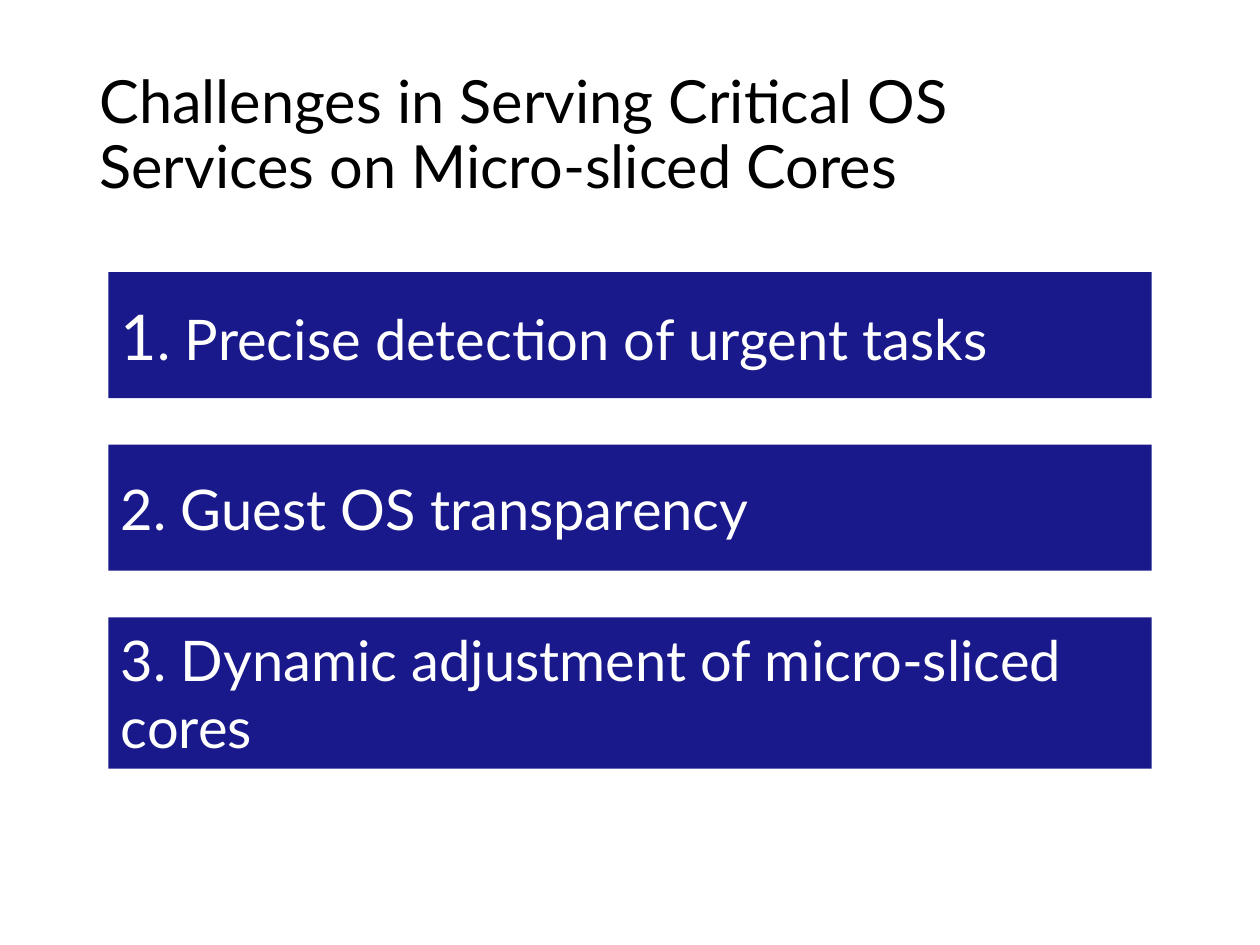
import pptx
import pptx.dml.color
import pptx.enum.shapes
import pptx.enum.text
import pptx.oxml.ns
import pptx.util
from lxml import etree

Inches = pptx.util.Inches
FONT = "Lato"
NAVY, WHITE, BLACK = "000080", "FFFFFF", "000000"
ANCHOR_MIDDLE = pptx.enum.text.MSO_ANCHOR.MIDDLE
ALIGN_LEFT = pptx.enum.text.PP_ALIGN.LEFT

CHALLENGES = [
    "Precise detection of urgent tasks",
    "Guest OS transparency",
    "Dynamic adjustment of micro-sliced cores",
]
BAR_HEIGHTS = [1, 1, 1.2]


def rgb(hex_colour):
    return pptx.dml.color.RGBColor.from_string(hex_colour)


def format_run(run, size, colour):
    run.font.name = FONT
    run.font.size = pptx.util.Pt(size)
    run.font.color.rgb = rgb(colour)


def set_opacity(shape, percent):
    colour = shape.fill._xPr.find(".//" + pptx.oxml.ns.qn("a:srgbClr"))
    alpha = etree.SubElement(colour, pptx.oxml.ns.qn("a:alpha"))
    alpha.set("val", str(percent * 1000))


def add_title(slide, left, top, width, height):
    title = slide.shapes.add_textbox(
        Inches(left), Inches(top), Inches(width), Inches(height))
    frame = title.text_frame
    frame.word_wrap = True
    frame.vertical_anchor = ANCHOR_MIDDLE
    heading = frame.paragraphs[0]
    heading.text = "Challenges in Serving Critical OS Services on Micro-sliced Cores"
    heading.line_spacing = 0.9
    format_run(heading.runs[0], 34, BLACK)


def add_challenge(slide, left, top, width, height, number, challenge, number_size):
    bar = slide.shapes.add_shape(
        pptx.enum.shapes.MSO_SHAPE.RECTANGLE,
        Inches(left), Inches(top), Inches(width), Inches(height))
    bar.shadow.inherit = False
    bar.fill.solid()
    bar.fill.fore_color.rgb = rgb(NAVY)
    set_opacity(bar, 90)
    bar.line.fill.background()

    frame = bar.text_frame
    frame.word_wrap = True
    frame.vertical_anchor = ANCHOR_MIDDLE
    line = frame.paragraphs[0]
    line.alignment = ALIGN_LEFT
    for text, size in ((str(number), number_size), (f". {challenge}", 32)):
        run = line.add_run()
        run.text = text
        format_run(run, size, WHITE)


def add_challenges(slide, left, top, width, gap):
    for number, (challenge, height) in enumerate(zip(CHALLENGES, BAR_HEIGHTS), 1):
        number_size = 36 if number == 1 else 32
        add_challenge(slide, left, top, width, height, number, challenge, number_size)
        top += height + gap


def main():
    deck = pptx.Presentation()
    deck.slide_width, deck.slide_height = Inches(10), Inches(7.5)
    slide = deck.slides.add_slide(deck.slide_layouts[6])
    slide.background.fill.solid()
    slide.background.fill.fore_color.rgb = rgb(WHITE)
    add_title(slide, 0.69, 0.36, 8.62, 1.45)
    add_challenges(slide, 0.86, 2.16, 8.28, gap=0.37)
    deck.save("out.pptx")


if __name__ == "__main__":
    main()
